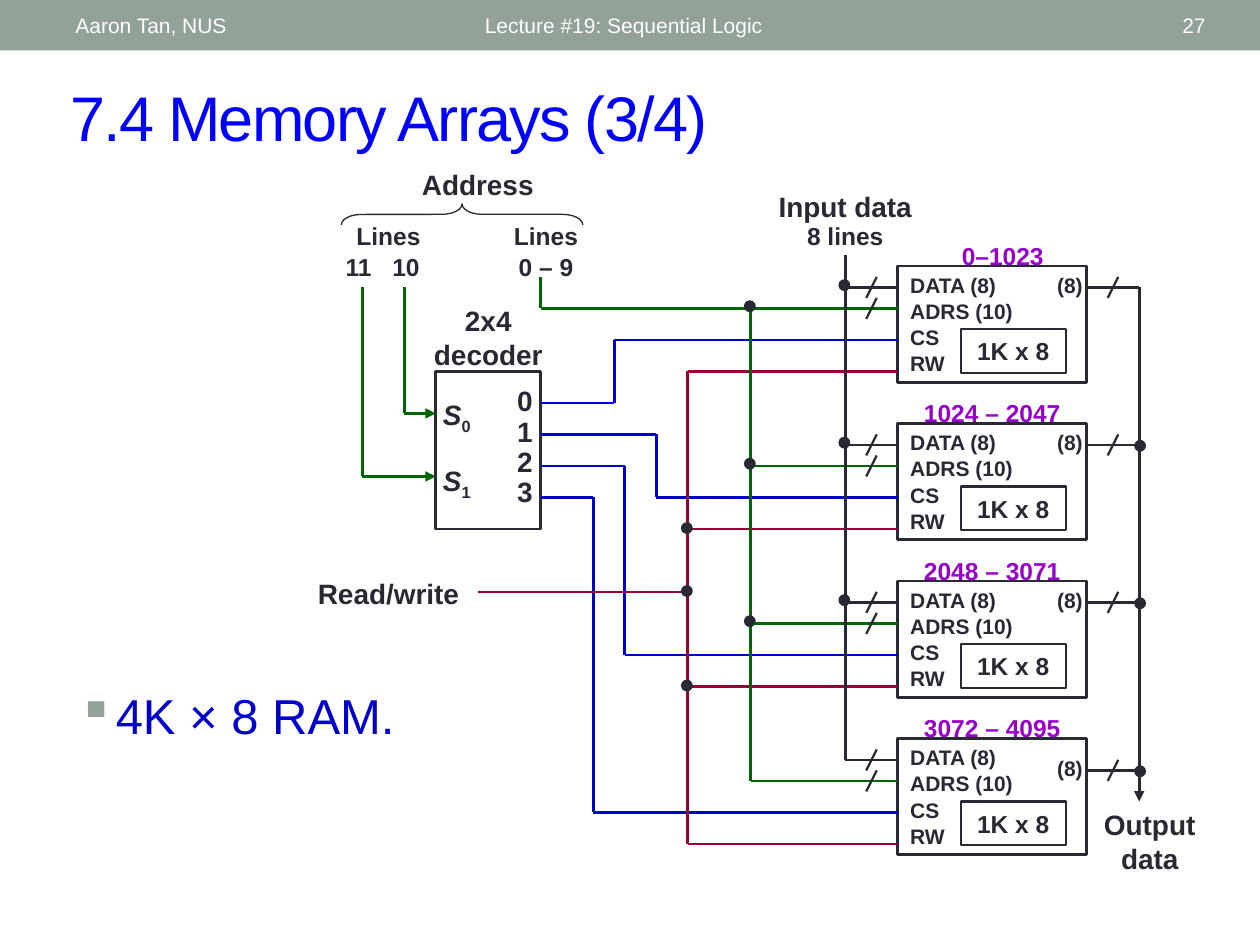
from typing import Any, NamedTuple

from lxml import etree
from pptx import Presentation
from pptx import util as u
from pptx.dml.color import RGBColor
from pptx.enum import shapes, text
from pptx.oxml.ns import qn

COLOURS = {
    "bar": "93A299", "white": "FFFFFF", "title": "0000FF", "ink": "292934",
    "select": "0000CC", "address": "006600", "control": "990033", "range": "9900CC",
}
LEFT, CENTRE, RIGHT = text.PP_ALIGN.LEFT, text.PP_ALIGN.CENTER, text.PP_ALIGN.RIGHT
TOP, MIDDLE = text.MSO_ANCHOR.TOP, text.MSO_ANCHOR.MIDDLE
RECTANGLE, OVAL = shapes.MSO_SHAPE.RECTANGLE, shapes.MSO_SHAPE.OVAL

# Shared positions in points
DATA_X, ADDRESS_X, CONTROL_X, OUTPUT_X = 483, 429, 393, 651
BANK_X, BANK_W, BANK_H, BANK_PITCH = 513, 108, 66.5, 90
DATA_ROW, ADDRESS_ROW, SELECT_ROW, CONTROL_ROW = 12.25, 24.25, 42.25, 60.25
DECODER_X, DECODER_Y, DECODER_W, DECODER_H = 249, 212.25, 60, 90
DECODER_RIGHT = DECODER_X + DECODER_W
READ_WRITE_Y = 338.25


class Label(NamedTuple):
    words: tuple[str, ...]
    left: float
    top: float
    width: float
    height: float
    size: float = 16
    colour: str = "ink"
    bold: bool = True
    align: Any = CENTRE
    anchor: Any = TOP
    para: dict[str, Any] = {}


class Bank(NamedTuple):
    words: str
    top: float
    select_lane: float
    range_x: float = 519
    out_row: float = DATA_ROW


BANKS = [
    Bank("0–1023", 152, 351, range_x=525),
    Bank("1024 – 2047", 152 + BANK_PITCH, 375),
    Bank("2048 – 3071", 152 + 2 * BANK_PITCH, 357),
    Bank("3072 – 4095", 152 + 3 * BANK_PITCH, 339, out_row=18.25),
]

HEADER = dict(size=12, colour="white", bold=False, anchor=MIDDLE)
LABELS = [
    Label(("Aaron Tan, NUS",), 36, 1.5, 228, 26, align=LEFT, **HEADER),
    Label(("Lecture #19: Sequential Logic",), 270, 1.5, 324, 26, align=LEFT, **HEADER),
    Label(("27",), 628, 1.5, 68, 26, align=RIGHT, **HEADER),
    Label(("Address",), 225, 92, 96, 26.5),
    Label(("Lines",), 195, 122.5, 54, 24, 14),
    Label(("11",), 187, 140.5, 36, 24, 14),
    Label(("10",), 214, 140.5, 36, 24, 14),
    Label(("Lines",), 285, 122.5, 54, 24, 14),
    Label(("0 – 9",), 285, 140.5, 54, 24, 14),
    Label(("2x4 decoder",), 237, 170, 84, 46),
    Label(("0", "1", "2", "3"), 285, 218, 30, 77, para={"line_spacing": 0.9}),
    Label(("Read/write",), 171, 326, 102, 26.5),
    Label(("Input data",), 435, 104.5, 96, 26.5),
    Label(("8 lines",), 453, 122.5, 60, 24, 14),
    Label(("Output data",), 621, 458, 72, 46),
]


def rgb(name: str) -> RGBColor:
    return RGBColor.from_string(COLOURS[name])


def apply(target: Any, formats: dict[str, Any]) -> None:
    for name, value in formats.items():
        setattr(target, name, value)


def add_span(para: Any, words: str, size: float, colour: str, **formats: Any) -> Any:
    span = para.add_run()
    span.text = words
    apply(span.font, {"name": "Arial", "size": u.Pt(size), **formats})
    span.font.color.rgb = rgb(colour)
    return span


def fill_frame(frame: Any, label: Label) -> None:
    apply(frame, {"word_wrap": True, "vertical_anchor": label.anchor})
    for index, words in enumerate(label.words):
        para = frame.add_paragraph() if index else frame.paragraphs[0]
        apply(para, {"alignment": label.align, **label.para})
        add_span(para, words, label.size, label.colour, bold=label.bold)


def add_label(page: Any, label: Label) -> Any:
    box = page.shapes.add_textbox(*map(u.Pt, label[1:5]))
    fill_frame(box.text_frame, label)
    return box


def add_box(page: Any, kind: Any, left: float, top: float, width: float, height: float,
            weight: float = 1.5, fill: str | None = None, line: str | None = "ink") -> Any:
    box = page.shapes.add_shape(kind, *map(u.Pt, (left, top, width, height)))
    box.shadow.inherit = False
    if fill:
        box.fill.solid()
        box.fill.fore_color.rgb = rgb(fill)
    else:
        box.fill.background()
    if line:
        box.line.color.rgb = rgb(line)
        box.line.width = u.Pt(weight)
    else:
        box.line.fill.background()
    return box


def add_wire(page: Any, colour: str, *points: tuple[float, float],
             weight: float = 1.5, arrow: bool = False) -> None:
    """Draw straight segments through the points, with an optional last arrowhead."""
    for start, end in zip(points, points[1:]):
        wire = page.shapes.add_connector(
            shapes.MSO_CONNECTOR.STRAIGHT, *map(u.Pt, (*start, *end)))
        wire.line.color.rgb = rgb(colour)
        wire.line.width = u.Pt(weight)
        if arrow and end == points[-1]:
            etree.SubElement(wire.line._get_or_add_ln(), qn("a:tailEnd"), type="triangle")
        etree.SubElement(wire._element.spPr, qn("a:effectLst"))


def add_slash(page: Any, x: float, y: float) -> None:
    add_wire(page, "ink", (x + 3, y - 6), (x - 3, y + 6), weight=1.25)


def add_dot(page: Any, x: float, y: float) -> None:
    add_box(page, OVAL, x - 3, y - 3, 6, 6, 0.75, fill="ink")


def add_bank(page: Any, bank: Bank, index: int) -> None:
    top, right = bank.top, BANK_X + BANK_W
    out_y = top + bank.out_row
    add_box(page, RECTANGLE, BANK_X, top, BANK_W, BANK_H)
    chip = Label(("1K x 8",), 549, top + 36, 60, 25, 14, anchor=MIDDLE)
    fill_frame(add_box(page, RECTANGLE, *chip[1:5], 1.25).text_frame, chip)
    add_label(page, Label(("DATA (8)", "ADRS (10)", "CS", "RW"), BANK_X, top, 96, 67, 12,
                          align=LEFT, para={"space_before": u.Pt(0.6)}))
    add_label(page, Label(("(8)",), 597, out_y - DATA_ROW, 30, 21.5, 12, align=LEFT))
    add_label(page, Label((bank.words,), bank.range_x, top - 18, 96, 24, 14, "range"))

    # Inputs, branching from the vertical lanes
    lanes = [(DATA_X, DATA_ROW, "ink"), (ADDRESS_X, ADDRESS_ROW, "address"),
             (CONTROL_X, CONTROL_ROW, "control")]
    for x, row, colour in lanes:
        add_wire(page, colour, (x, top + row), (BANK_X, top + row))
    for row in (DATA_ROW, ADDRESS_ROW):
        add_slash(page, 498, top + row)
    decoder_y = DECODER_Y + 18 * (index + 1)
    select_y = top + SELECT_ROW
    add_wire(page, "select", (DECODER_RIGHT, decoder_y), (bank.select_lane, decoder_y),
             (bank.select_lane, select_y), (BANK_X, select_y))

    # Output
    add_wire(page, "ink", (right, out_y), (OUTPUT_X, out_y))
    add_slash(page, 636, out_y)


def add_junctions(page: Any) -> None:
    for bank in BANKS[:-1]:
        add_dot(page, ADDRESS_X - 0.5, bank.top + ADDRESS_ROW - 1.25)
        add_dot(page, DATA_X - 0.5, bank.top + DATA_ROW - 1.25)
    for bank in BANKS[1:]:
        add_dot(page, OUTPUT_X + 0.5, bank.top + bank.out_row + 0.5)
    for y in (READ_WRITE_Y, *(bank.top + CONTROL_ROW for bank in BANKS[1:-1])):
        add_dot(page, CONTROL_X - 0.5, y - 0.5)


def main() -> None:
    deck = Presentation()
    apply(deck, {"slide_width": u.Pt(720), "slide_height": u.Pt(540)})
    page = deck.slides.add_slide(deck.slide_layouts[6])

    # Header bar, title and bullet
    add_box(page, RECTANGLE, 0, 0, 720, 28.8, fill="bar", line=None)
    title = add_label(page, Label(("7.4 Memory Arrays (3/4)",), 33, 41, 663, 50.5, 36,
                                  "title", False, LEFT, MIDDLE))
    title.text_frame.paragraphs[0].runs[0].font._element.set("spc", "-100")
    bullet = add_label(page, Label(("4K × 8 RAM.",), 37.5, 388, 222, 48, 28,
                                   "select", False, LEFT))
    props = bullet.text_frame.paragraphs[0]._p.get_or_add_pPr()
    props.set("marL", str(u.Pt(21.6)))
    props.set("indent", str(-u.Pt(21.6)))
    mark = etree.SubElement(props, qn("a:buClr"))
    etree.SubElement(mark, qn("a:srgbClr"), val=COLOURS["bar"])
    etree.SubElement(props, qn("a:buChar"), char="▪")

    # Decoder and its address lines
    add_box(page, RECTANGLE, DECODER_X, DECODER_Y, DECODER_W, DECODER_H)
    for x, y in ((231, 236.25), (207, 272.25)):
        add_wire(page, "address", (x, 164.25), (x, y), (DECODER_X, y), arrow=True)
    inputs = add_label(page, Label((), 243, 224, 36, 59)).text_frame
    for index, digit in enumerate("01"):
        para = inputs.add_paragraph() if index else inputs.paragraphs[0]
        apply(para, {"alignment": CENTRE, "line_spacing": 0.9,
                     "space_before": u.Pt(18 * index)})
        add_span(para, "S", 16, "ink", bold=True, italic=True)
        add_span(para, digit, 16, "ink", bold=True).font._element.set("baseline", "-25000")
    brace = add_box(page, shapes.MSO_SHAPE.LEFT_BRACE, 258, 53.5, 12, 138, 0.75)
    brace.rotation = 90
    brace.adjustments[0] = 0.96

    # Memory banks and shared lanes
    for index, bank in enumerate(BANKS):
        add_bank(page, bank, index)
    first, last = BANKS[0].top, BANKS[-1].top
    add_wire(page, "ink", (DATA_X, 146), (DATA_X, last + DATA_ROW))
    add_wire(page, "address", (DECODER_RIGHT, 158.25), (DECODER_RIGHT, first + ADDRESS_ROW),
             (ADDRESS_X, first + ADDRESS_ROW), (ADDRESS_X, last + ADDRESS_ROW))
    add_wire(page, "control", (273, READ_WRITE_Y), (CONTROL_X, READ_WRITE_Y))
    add_wire(page, "control", (CONTROL_X, first + CONTROL_ROW), (CONTROL_X, last + CONTROL_ROW))
    add_wire(page, "ink", (OUTPUT_X, first + DATA_ROW), (OUTPUT_X, 458), arrow=True)
    add_junctions(page)

    for label in LABELS:
        add_label(page, label)
    deck.save("out.pptx")


if __name__ == "__main__":
    main()
